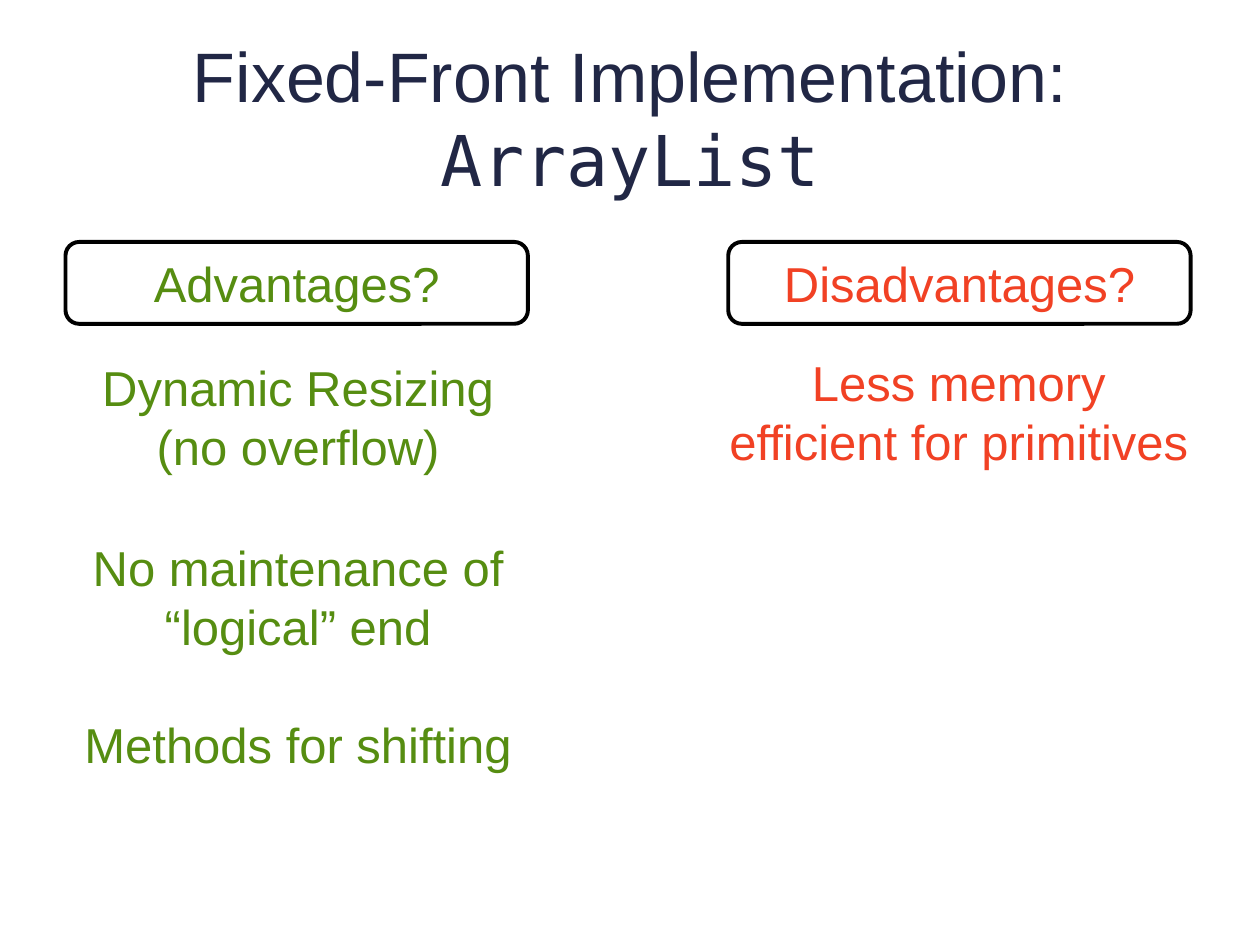
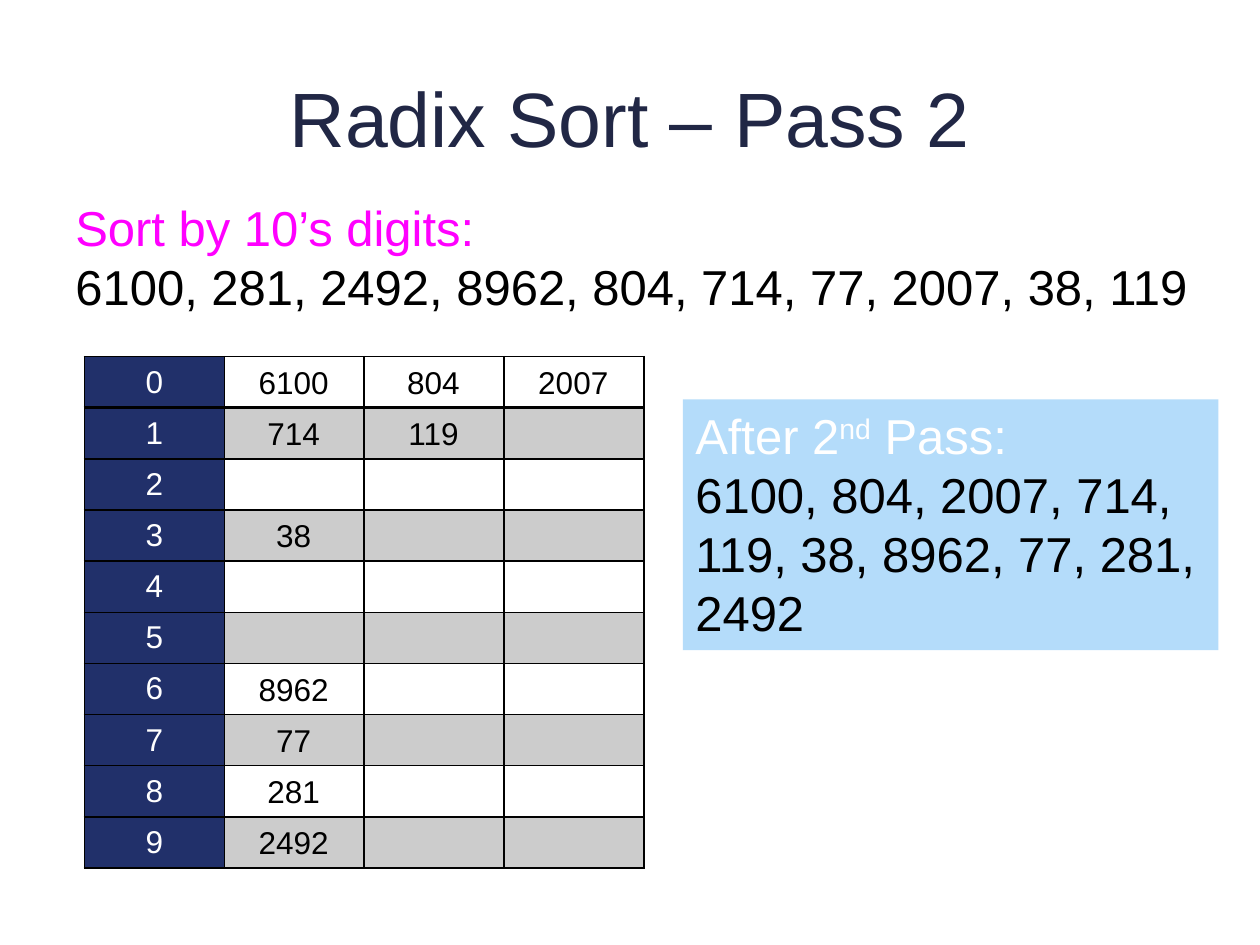
from lxml import etree
from pptx import Presentation
from pptx.dml.color import RGBColor
from pptx.enum.shapes import MSO_SHAPE
from pptx.enum.text import MSO_ANCHOR, MSO_AUTO_SIZE, PP_ALIGN
from pptx.oxml.ns import qn
from pptx.util import Inches, Pt

ROUND, RECT = MSO_SHAPE.ROUNDED_RECTANGLE, MSO_SHAPE.RECTANGLE
TOP, MID = MSO_ANCHOR.TOP, MSO_ANCHOR.MIDDLE
LEFT, MIDST = PP_ALIGN.LEFT, PP_ALIGN.CENTER
GROW, FIXED = MSO_AUTO_SIZE.SHAPE_TO_FIT_TEXT, MSO_AUTO_SIZE.NONE

INK = RGBColor(0x21, 0x27, 0x45)
BLACK = RGBColor(0, 0, 0)
WHITE = RGBColor(255, 255, 255)
GREEN = RGBColor(0x56, 0x8D, 0x11)
RED = RGBColor(0xF1, 0x41, 0x24)
PINK = RGBColor(255, 0, 255)
SKY = RGBColor(0xB4, 0xDC, 0xFA)
NAVY = RGBColor(0x21, 0x30, 0x6A)

SANS, MONO = "Arial", "DejaVu Sans Mono"
WIDE, HIGH = Inches(10), Inches(7.5)
COLS, ROWS = 100, 75

GRID_X, GRID_Y = 6.7, 28.3
CELL_W, CELL_H = 11.1, 4.06
BINS = [[6100, 804, 2007], [714, 119], [], [38], [], [], [8962], [77], [281], [2492]]


def place(x, y, w, h):
    """Turn columns and rows of the slide grid into lengths."""
    col, row = WIDE / COLS, HIGH / ROWS
    return [int(n) for n in (x * col, y * row, w * col, h * row)]


def write(frame, *lines, size=28, color=BLACK, align=LEFT, anchor=TOP, fit=GROW):
    """Fill a frame; a line is a string or a list of (text, format) pairs."""
    frame.word_wrap = True
    frame.auto_size = fit
    frame.vertical_anchor = anchor
    for i, line in enumerate(lines):
        para = frame.paragraphs[0] if i == 0 else frame.add_paragraph()
        para.alignment = align
        for text, form in [(line, {})] if isinstance(line, str) else line:
            run = para.add_run()
            run.text = text
            run.font.size = Pt(size)
            run.font.name = form.get("font", SANS)
            run.font.color.rgb = form.get("color", color)
            if "base" in form:
                run._r.get_or_add_rPr().set("baseline", str(form["base"] * 1000))


def start(deck, line, size):
    """Add a slide with its title."""
    slide = deck.slides.add_slide(deck.slide_layouts[5])
    title = slide.shapes.title
    title.left, title.top, title.width, title.height = place(5, 3, 90, 12.5)
    write(title.text_frame, line, size=size, color=INK, align=MIDST, anchor=MID, fit=FIXED)
    return slide


def label(slide, spot, *lines, **form):
    """Add a text box."""
    box = slide.shapes.add_textbox(*place(*spot))
    write(box.text_frame, *lines, **form)


def panel(slide, kind, spot, *lines, fill=None, edge=None, **form):
    """Add a shape that holds text."""
    shape = slide.shapes.add_shape(kind, *place(*spot))
    shape.shadow.inherit = False
    if fill:
        shape.fill.solid()
        shape.fill.fore_color.rgb = fill
    else:
        shape.fill.background()
    if edge:
        shape.line.color.rgb = edge
        shape.line.width = Pt(2.25)
    else:
        shape.line.fill.background()
    write(shape.text_frame, *lines, **form)


def point(slide, spot, text, color, edge=None):
    """Add a rounded box with one centred point."""
    panel(slide, ROUND, spot, text, edge=edge, color=color, align=MIDST, anchor=MID)


def rule(cell, sides):
    """Draw black cell borders from a map of side to width."""
    props = cell._tc.get_or_add_tcPr()
    for side, width in sides.items():
        line = etree.SubElement(props, qn(f"a:ln{side}"), w=str(Pt(width)))
        fill = etree.SubElement(line, qn("a:solidFill"))
        etree.SubElement(fill, qn("a:srgbClr"), val=str(BLACK))


def tint(cell, color, alpha=100):
    """Fill a cell, opaque or see-through."""
    cell.fill.solid()
    cell.fill.fore_color.rgb = color
    if alpha < 100:
        tone = next(cell._tc.iter(qn("a:srgbClr"), ), None)
        tone = cell._tc.tcPr.find(qn("a:solidFill")).find(qn("a:srgbClr"))
        etree.SubElement(tone, qn("a:alpha"), val=str(alpha * 1000))


def buckets(slide):
    """Add the table of digits and set the numbers over its cells."""
    count = len(BINS)
    spot = place(GRID_X, GRID_Y, 4 * CELL_W, count * CELL_H)
    table = slide.shapes.add_table(count, 4, *spot).table
    table.first_row = table.horz_banding = False
    for r in range(count):
        for c in range(4):
            cell = table.cell(r, c)
            rule(cell, {"L": 1, "R": 1, "T": 2 if r == 1 else 1, "B": 2 if r == 0 else 1})
            if c == 0:
                tint(cell, NAVY)
                write(cell.text_frame, str(r), size=18, color=WHITE, align=MIDST, fit=None)
                cell.vertical_anchor = MID
            elif r % 2:
                tint(cell, BLACK, 20)
            else:
                cell.fill.background()
    for r, row in enumerate(BINS):
        for c, value in enumerate(row, 1):
            spot = GRID_X + c * CELL_W + 0.1, GRID_Y + r * CELL_H, 10.8, 4
            label(slide, spot, str(value), size=18, align=MIDST)


def lists(deck):
    """Build the slide on array lists."""
    line = [("Fixed-Front Implementation: ", {}), ("ArrayList", {"font": MONO})]
    slide = start(deck, line, 40)
    for x, text, color in ((5.2, "Advantages?", GREEN), (57.8, "Disadvantages?", RED)):
        point(slide, (x, 19.2, 36.7, 6.5), text, color, BLACK)
    for y, h, text in (
        (27.3, 11.5, "Dynamic Resizing (no overflow)"),
        (41.6, 11.5, "No maintenance of “logical” end"),
        (55.9, 6.3, "Methods for shifting"),
    ):
        point(slide, (5.2, y, 36.9, h), text, GREEN)
    point(slide, (55.8, 26.9, 40.6, 11.5), "Less memory efficient for primitives", RED)


def radix(deck):
    """Build the slide on radix sort."""
    slide = start(deck, "Radix Sort – Pass 2", 44)
    label(slide, (5, 15.2, 91.7, 10.4), [("Sort by 10’s digits:", {"color": PINK})],
          "6100, 281, 2492, 8962, 804, 714, 77, 2007, 38, 119")
    pale = {"color": WHITE}
    head = [("After 2", pale), ("nd", {"base": 30, **pale}), (" Pass:", pale)]
    panel(slide, RECT, (54.2, 31.7, 42.5, 19.9), head,
          "6100, 804, 2007, 714, 119, 38, 8962, 77, 281, 2492", fill=SKY)
    buckets(slide)


def main():
    """Build and save the deck."""
    deck = Presentation()
    deck.slide_width, deck.slide_height = WIDE, HIGH
    lists(deck)
    radix(deck)
    deck.save("out.pptx")


if __name__ == "__main__":
    main()
